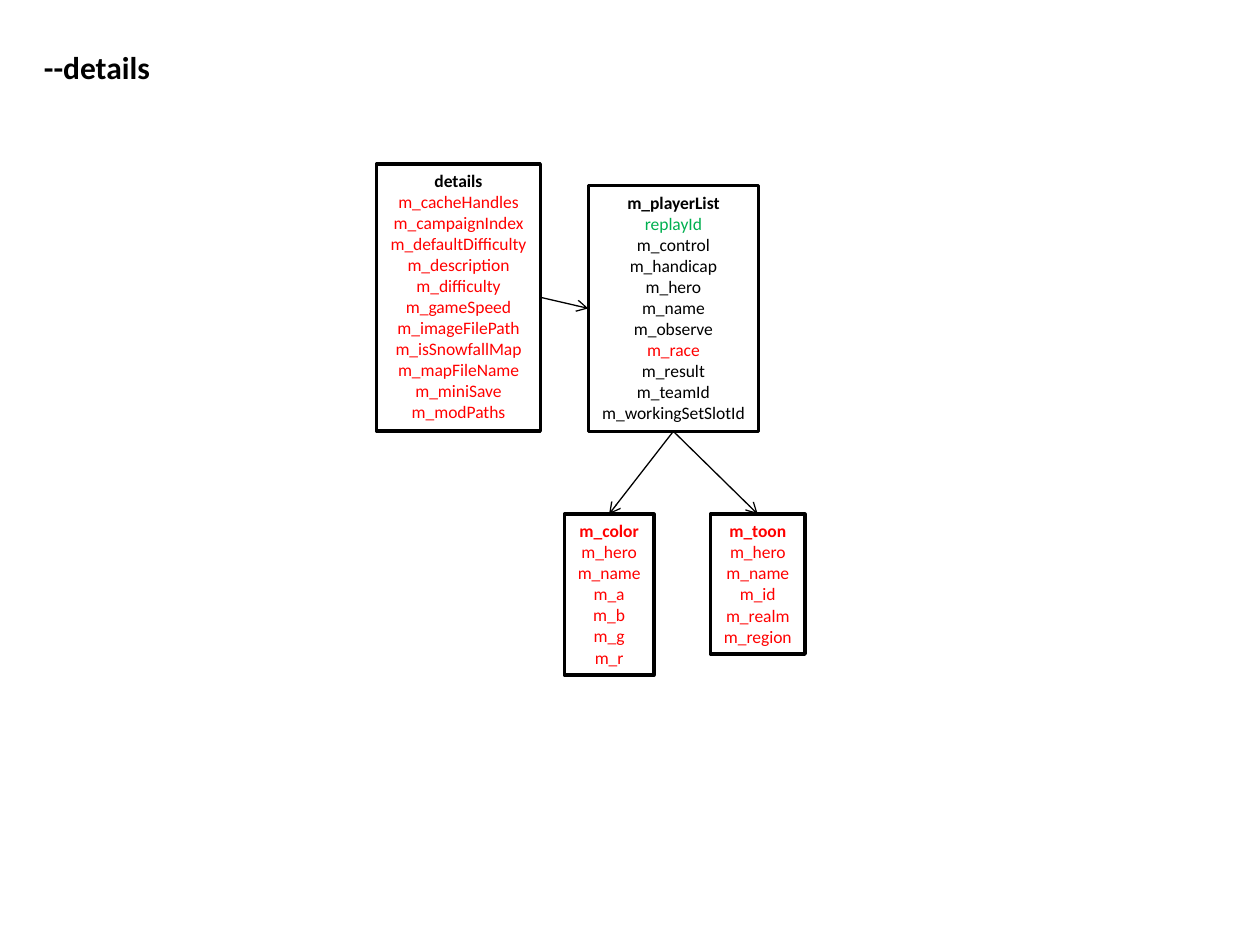
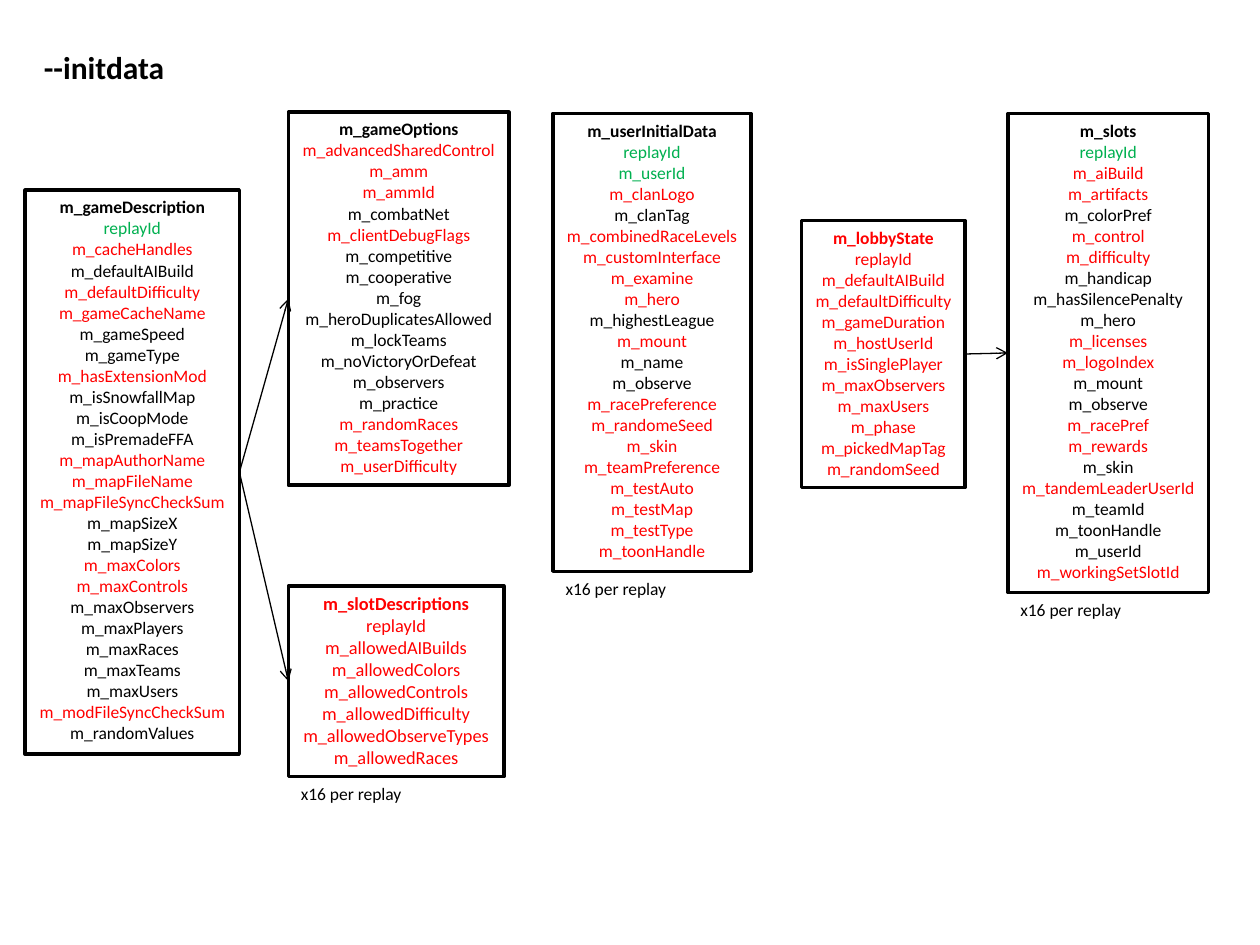
"""Build two slides that map the record structures of replay data."""
from pptx import Presentation
from pptx.dml.color import RGBColor
from pptx.enum.shapes import MSO_CONNECTOR as Connector, MSO_SHAPE as Shape
from pptx.enum.text import MSO_ANCHOR as Anchor, MSO_AUTO_SIZE as AutoSize, PP_ALIGN as Align
from pptx.oxml.ns import qn
from pptx.util import Pt
from lxml.etree import SubElement

BLACK = RGBColor(0x00, 0x00, 0x00)
WHITE = RGBColor(0xFF, 0xFF, 0xFF)
RED = RGBColor(0xFF, 0x00, 0x00)
GREEN = RGBColor(0x00, 0xB0, 0x50)
MARKS = {"-": RED, "+": GREEN}
FONT = "Calibri"
LINE_SPACING = 1.212
INSET = 3.6
TOP, LEFT, BOTTOM, RIGHT = range(4)
NOTE = "x16 per replay"

DETAILS = {
    "title": "--details",
    "title_width": 75.6,
    "records": [
        {"at": (215.2, 93.6), "width": 93.6, "fields": """
            details -m_cacheHandles -m_campaignIndex -m_defaultDifficulty
            -m_description -m_difficulty -m_gameSpeed -m_imageFilePath
            -m_isSnowfallMap -m_mapFileName -m_miniSave -m_modPaths"""},
        {"at": (336.2, 106), "width": 97.2, "fields": """
            m_playerList +replayId m_control m_handicap m_hero m_name
            m_observe -m_race m_result m_teamId m_workingSetSlotId"""},
        {"at": (322.5, 293.8), "width": 51.1, "fields": """
            -m_color -m_hero -m_name -m_a -m_b -m_g -m_r"""},
        {"at": (406, 293.8), "width": 54, "fields": """
            -m_toon -m_hero -m_name -m_id -m_realm -m_region"""},
    ],
    "links": [
        ("m_playerList", BOTTOM, "m_color", TOP),
        ("m_playerList", BOTTOM, "m_toon", TOP),
        ("details", RIGHT, "m_playerList", LEFT),
    ],
}

INITDATA = {
    "title": "--initdata",
    "title_width": 84.2,
    "records": [
        {"at": (14.4, 108.7), "width": 122.4, "fields": """
            m_gameDescription +replayId -m_cacheHandles m_defaultAIBuild
            -m_defaultDifficulty -m_gameCacheName m_gameSpeed m_gameType
            -m_hasExtensionMod m_isSnowfallMap m_isCoopMode m_isPremadeFFA
            -m_mapAuthorName -m_mapFileName -m_mapFileSyncCheckSum
            m_mapSizeX m_mapSizeY -m_maxColors -m_maxControls
            m_maxObservers m_maxPlayers m_maxRaces m_maxTeams m_maxUsers
            -m_modFileSyncCheckSum m_randomValues"""},
        {"at": (164.8, 64.1), "width": 126, "fields": """
            m_gameOptions -m_advancedSharedControl -m_amm -m_ammId
            m_combatNet -m_clientDebugFlags m_competitive m_cooperative
            m_fog m_heroDuplicatesAllowed m_lockTeams m_noVictoryOrDefeat
            m_observers m_practice -m_randomRaces -m_teamsTogether
            -m_userDifficulty"""},
        {"at": (164.8, 334.8), "width": 123.1, "size": 10.5, "note": NOTE, "fields": """
            -m_slotDescriptions -replayId -m_allowedAIBuilds
            -m_allowedColors -m_allowedControls -m_allowedDifficulty
            -m_allowedObserveTypes -m_allowedRaces"""},
        {"at": (458, 126), "width": 93.6, "fields": """
            -m_lobbyState -replayId -m_defaultAIBuild -m_defaultDifficulty
            -m_gameDuration -m_hostUserId -m_isSinglePlayer
            -m_maxObservers -m_maxUsers -m_phase -m_pickedMapTag
            -m_randomSeed"""},
        {"at": (576, 64.8), "width": 114.5, "note": NOTE, "fields": """
            m_slots +replayId -m_aiBuild -m_artifacts m_colorPref
            -m_control -m_difficulty m_handicap m_hasSilencePenalty m_hero
            -m_licenses -m_logoIndex m_mount m_observe -m_racePref
            -m_rewards m_skin -m_tandemLeaderUserId m_teamId m_toonHandle
            m_userId -m_workingSetSlotId"""},
        {"at": (316.1, 64.8), "width": 113, "note": NOTE, "fields": """
            m_userInitialData +replayId +m_userId -m_clanLogo m_clanTag
            -m_combinedRaceLevels -m_customInterface -m_examine -m_hero
            m_highestLeague -m_mount m_name m_observe -m_racePreference
            -m_randomeSeed -m_skin -m_teamPreference -m_testAuto
            -m_testMap -m_testType -m_toonHandle"""},
    ],
    "links": [
        ("m_gameDescription", RIGHT, "m_gameOptions", LEFT),
        ("m_gameDescription", RIGHT, "m_slotDescriptions", LEFT),
        ("m_lobbyState", RIGHT, "m_slots", LEFT),
    ],
}


def apply(target, **values):
    for name, value in values.items():
        setattr(target, name, value)


def write(box, lines, size, align):
    frame = box.text_frame
    apply(frame, word_wrap=False, vertical_anchor=Anchor.TOP,
          auto_size=AutoSize.SHAPE_TO_FIT_TEXT)
    for index, (text, color, bold) in enumerate(lines):
        para = frame.add_paragraph() if index else frame.paragraphs[0]
        para.alignment = align
        span = para.add_run()
        span.text = text
        apply(span.font, name=FONT, size=Pt(size), bold=bold)
        span.font.color.rgb = color


def add_label(page, text, left, top, width, height, size, bold=False):
    box = page.shapes.add_textbox(Pt(left), Pt(top), Pt(width), Pt(height))
    write(box, [(text, BLACK, bold)], size, Align.LEFT)


def add_record(page, record):
    fields = record["fields"].split()
    size = record.get("size", 10)
    left, top = record["at"]
    height = round(2 * INSET + LINE_SPACING * size * len(fields), 1)
    box = page.shapes.add_shape(
        Shape.RECTANGLE, Pt(left), Pt(top), Pt(record["width"]), Pt(height))
    box.shadow.inherit = False
    box.fill.solid()
    box.fill.fore_color.rgb = WHITE
    box.line.color.rgb = BLACK
    box.line.width = Pt(2)
    lines = [(field.lstrip("-+"), MARKS.get(field[0], BLACK), index == 0)
             for index, field in enumerate(fields)]
    write(box, lines, size, Align.CENTER)
    if "note" in record:
        add_label(page, record["note"], left, top + height, 76.3, 20, 10)
    return lines[0][0], box


def add_link(page, source, source_side, target, target_side):
    link = page.shapes.add_connector(Connector.STRAIGHT, 0, 0, 0, 0)
    link.begin_connect(source, source_side)
    link.end_connect(target, target_side)
    link.line.color.rgb = BLACK
    link.line.width = Pt(0.75)
    SubElement(link.line._get_or_add_ln(), qn("a:tailEnd"), type="arrow")
    SubElement(link._element.spPr, qn("a:effectLst"))


def add_page(deck, content):
    page = deck.slides.add_slide(deck.slide_layouts[6])
    add_label(page, content["title"], 18, 24, content["title_width"], 29, 18, True)
    boxes = dict(add_record(page, record) for record in content["records"])
    for source, source_side, target, target_side in content["links"]:
        add_link(page, boxes[source], source_side, boxes[target], target_side)


deck = Presentation()
apply(deck, slide_width=Pt(720), slide_height=Pt(540))
for content in (DETAILS, INITDATA):
    add_page(deck, content)
deck.save("out.pptx")
